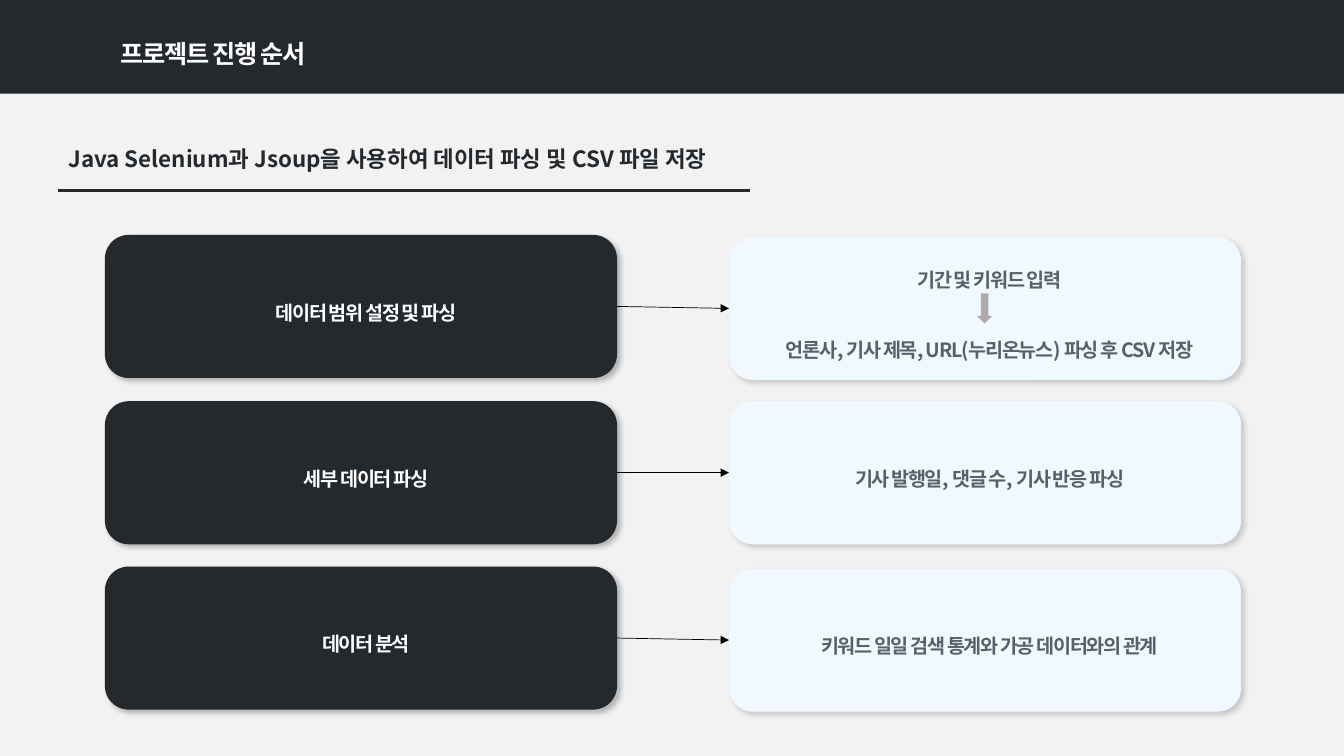
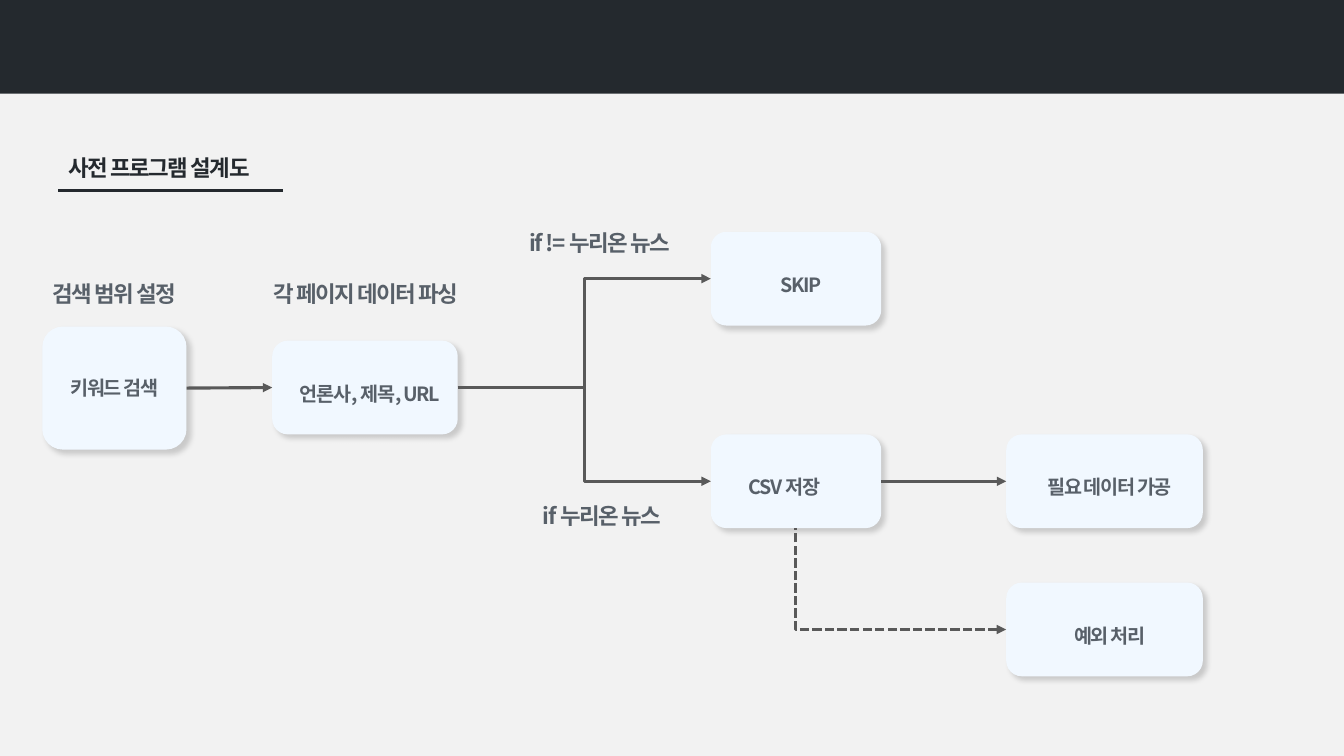
import pptx
import pptx.util
import pptx.dml.color
import pptx.enum.dml
import pptx.enum.shapes
import pptx.enum.text
import pptx.oxml
import pptx.oxml.ns

Inches, Pt = pptx.util.Inches, pptx.util.Pt
RGBColor = pptx.dml.color.RGBColor
SHAPE = pptx.enum.shapes.MSO_SHAPE
CONNECTOR = pptx.enum.shapes.MSO_CONNECTOR
ALIGN = pptx.enum.text.PP_ALIGN
ANCHOR = pptx.enum.text.MSO_ANCHOR

DARK = RGBColor(0x24, 0x29, 0x2E)
PALE = RGBColor(0xF1, 0xF8, 0xFF)
PAGE = RGBColor(0xF2, 0xF2, 0xF2)
SLATE = RGBColor(0x58, 0x60, 0x69)
FLOW = RGBColor(0x59, 0x59, 0x59)
STONE = RGBColor(0xAF, 0xAB, 0xAB)
WHITE = RGBColor(0xFF, 0xFF, 0xFF)
BLACK = RGBColor(0, 0, 0)
KOREAN = "Noto Sans CJK KR"
NS = pptx.oxml.ns.nsdecls("a")


def add_block(slide, box, text="", size=14, color=SLATE, fill=None, kind=None, shadow=None,
              align=ALIGN.CENTER, margins=(0.1, 0.1), spacing=1.5, tracking=-1, font=KOREAN):
    """Add a text box, or a filled shape when kind is given; shadow is (opacity %, distance pt)."""
    place = [Inches(value) for value in box]
    if kind is None:
        block = slide.shapes.add_textbox(*place)
    else:
        block = slide.shapes.add_shape(kind, *place)
        block.shadow.inherit = False
        block.fill.solid()
        block.fill.fore_color.rgb = fill
        block.line.fill.background()
    if shadow:
        opacity, distance = shadow
        block._element.spPr.find(pptx.oxml.ns.qn("a:effectLst")).append(pptx.oxml.parse_xml(
            f'<a:outerShdw {NS} blurRad="{Pt(4)}" dist="{Pt(distance)}" dir="2700000" algn="tl" '
            f'rotWithShape="0"><a:srgbClr val="000000"><a:alpha val="{opacity * 1000}"/>'
            '</a:srgbClr></a:outerShdw>'))
    frame = block.text_frame
    frame.word_wrap = True
    frame.vertical_anchor = ANCHOR.TOP if kind is None else ANCHOR.MIDDLE
    frame.margin_left, frame.margin_right = [Inches(value) for value in margins]
    frame.text = text
    for paragraph in frame.paragraphs:
        paragraph.alignment = align
        paragraph.line_spacing = spacing
        for run in paragraph.runs:
            run.font.size, run.font.bold = Pt(size), True
            run.font.color.rgb = color
            run.font.name = font
            run.font._element.append(pptx.oxml.parse_xml(f'<a:ea {NS} typeface="{KOREAN}"/>'))
            run.font._element.set("spc", str(int(tracking * 100)))
    return block


def add_line(slide, start, end, color, width, arrow=None, kind=CONNECTOR.STRAIGHT):
    """Join two (shape, side) ends, or two (x, y) points in inches; arrow is headEnd or tailEnd."""
    joined = not isinstance(start[0], (int, float))
    points = (0, 0, 0, 0) if joined else [Inches(value) for value in start + end]
    line = slide.shapes.add_connector(kind, *points)
    if joined:
        line.begin_connect(*start)
        line.end_connect(*end)
    line.line.color.rgb = color
    line.line.width = Pt(width)
    if arrow:
        line.line._get_or_add_ln().append(pptx.oxml.parse_xml(f'<a:{arrow} {NS} type="triangle"/>'))
    line._element.spPr.append(pptx.oxml.parse_xml(f"<a:effectLst {NS}/>"))
    return line


deck = pptx.Presentation()
deck.slide_width, deck.slide_height = Inches(13.33), Inches(7.5)

# Shared page: background, top band, heading underline
pages = []
for underline_end in (7.44, 2.81):
    page = deck.slides.add_slide(deck.slide_layouts[6])
    page.background.fill.solid()
    page.background.fill.fore_color.rgb = PAGE
    add_block(page, (0, 0, 13.33, 0.93), kind=SHAPE.RECTANGLE, fill=DARK)
    add_line(page, (0.58, 1.89), (underline_end, 1.89), DARK, 1.5)
    pages.append(page)
order, design = pages

# Slide 1: title and heading
add_block(order, (1.04, 0.18, 6.67, 0.56), "프로젝트 진행 순서", 18, WHITE,
          align=ALIGN.LEFT, margins=(0.16, 0.1))
add_block(order, (0.58, 1.39, 7.25, 0.37), "Java Selenium과 Jsoup을 사용하여 데이터 파싱 및 CSV 파일 저장",
          16, DARK, align=ALIGN.LEFT, spacing=1, tracking=0)

# Slide 1: each step and its detail
steps = [
    (2.33, "데이터 범위 설정 및 파싱", 2.35,
     "기간 및 키워드 입력\n언론사, 기사 제목, URL(누리온뉴스) 파싱 후 CSV 저장"),
    (3.98, "세부 데이터 파싱", 3.98, "기사 발행일, 댓글 수, 기사 반응 파싱"),
    (5.62, "데이터 분석", 5.64, "키워드 일일 검색 통계와 가공 데이터와의 관계"),
]
for step_top, step_text, detail_top, detail_text in steps:
    step = add_block(order, (1.04, step_top, 5.08, 1.42), step_text, color=WHITE, fill=DARK,
                     kind=SHAPE.ROUNDED_RECTANGLE, shadow=(25, 3), margins=(0.2, 0.1))
    detail = add_block(order, (7.23, detail_top, 5.08, 1.42), detail_text, fill=PALE,
                       kind=SHAPE.ROUNDED_RECTANGLE, shadow=(16, 3), margins=(0.29, 0.2))
    for follow_up in detail.text_frame.paragraphs[1:]:
        follow_up.space_before = Pt(25)
    add_line(order, (step, 3), (detail, 1), BLACK, 0.5, "tailEnd")
add_block(order, (9.69, 2.91, 0.15, 0.3), kind=SHAPE.DOWN_ARROW, fill=STONE)

# Slide 2: heading and captions
add_block(design, (0.58, 1.35, 6.23, 0.5), "사전 프로그램 설계도", 16, DARK,
          align=ALIGN.LEFT, font="Arial")
captions = [
    (0.32, 2.73, 1.63, "검색 범위 설정"),
    (2.34, 2.73, 2.58, "각 페이지 데이터 파싱"),
    (4.66, 2.22, 2.58, "if != 누리온 뉴스"),
    (4.68, 4.93, 2.58, "if 누리온 뉴스"),
]
for left, top, width, caption in captions:
    add_block(design, (left, top, width, 0.37), caption, 16, spacing=1)

# Slide 2: flow boxes
flow_boxes = [
    ("search", (0.42, 3.24, 1.43, 1.22), "키워드 검색"),
    ("parse", (2.7, 3.38, 1.84, 0.93), "언론사, 제목, URL"),
    ("skip", (7.05, 2.3, 1.69, 0.93), "SKIP"),
    ("save", (7.05, 4.31, 1.69, 0.93), "CSV 저장"),
    ("process", (9.98, 4.31, 1.95, 0.93), "필요 데이터 가공"),
    ("exception", (9.98, 5.78, 1.95, 0.93), "예외 처리"),
]
flow = {}
for key, box, label in flow_boxes:
    first, saved = key == "search", key == "save"
    flow[key] = add_block(design, box, label, fill=PALE, kind=SHAPE.ROUNDED_RECTANGLE,
                          shadow=(16, 4), spacing=1 if first else 1.5,
                          align=ALIGN.LEFT if saved else ALIGN.CENTER,
                          margins=(0.1 if first else 0.33 if saved else 0.2, 0.1))

# Slide 2: arrows
for source, target, kind in [("search", "parse", CONNECTOR.STRAIGHT),
                             ("parse", "skip", CONNECTOR.ELBOW),
                             ("parse", "save", CONNECTOR.ELBOW),
                             ("save", "process", CONNECTOR.STRAIGHT)]:
    add_line(design, (flow[source], 3), (flow[target], 1), FLOW, 2.25, "tailEnd", kind)

# The dashed branch runs from the exception box back to the save box, with one corner
branch = add_line(design, (flow["exception"], 1), (flow["save"], 2), FLOW, 2.25, "headEnd",
                  CONNECTOR.ELBOW)
branch.line.dash_style = pptx.enum.dml.MSO_LINE.SQUARE_DOT
branch._element.spPr.find(pptx.oxml.ns.qn("a:prstGeom")).set("prst", "bentConnector2")

deck.save("out.pptx")
